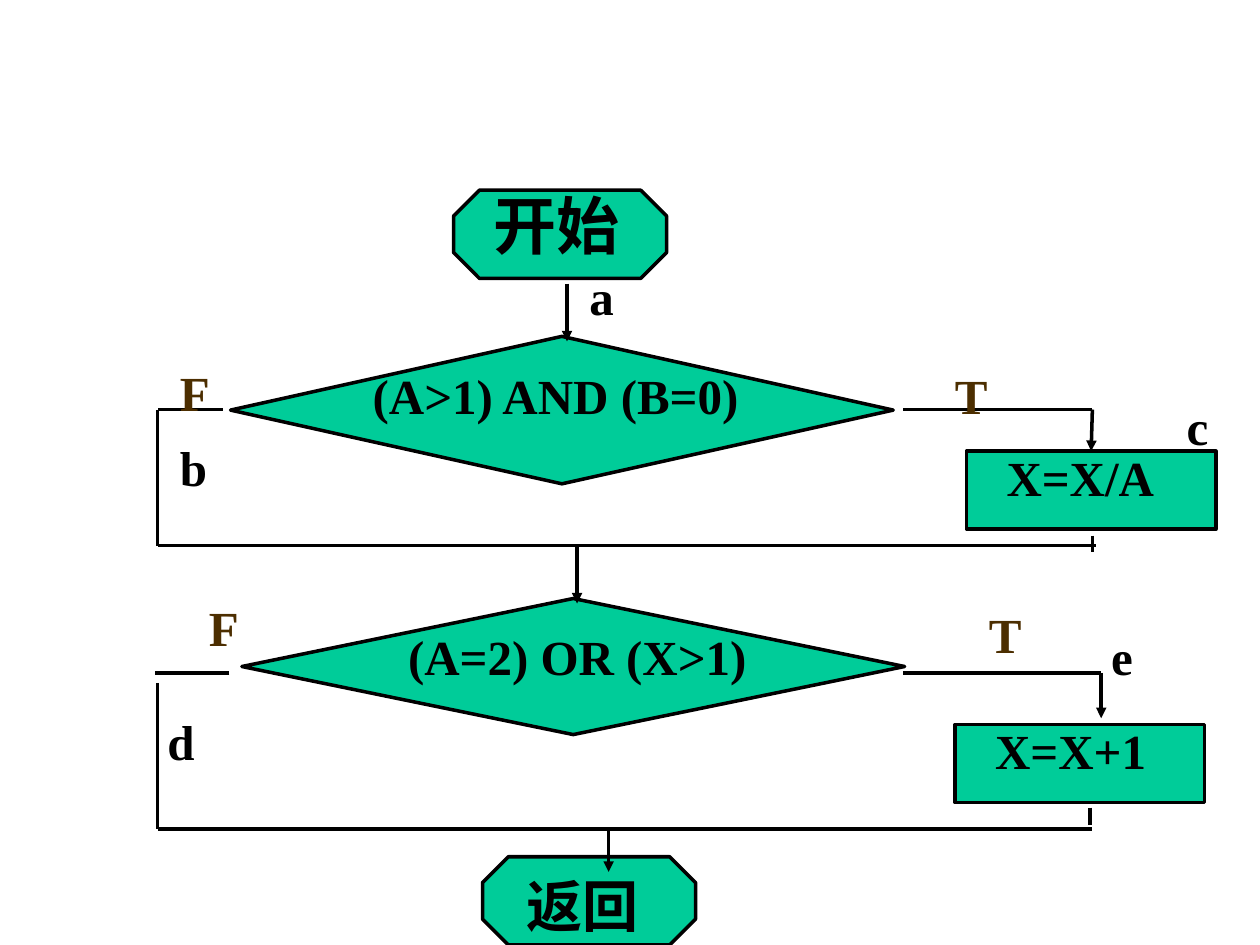
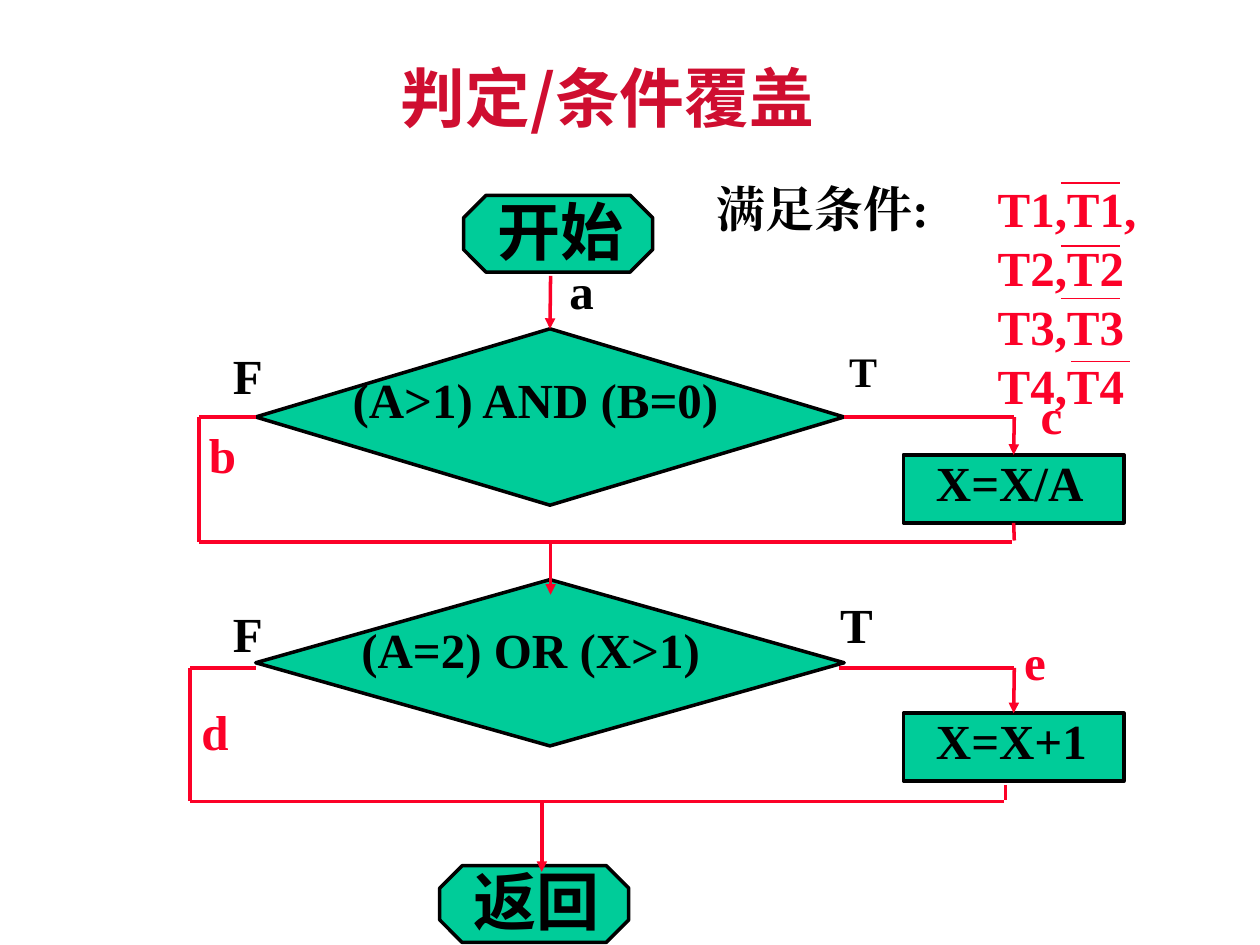
from dataclasses import dataclass
from math import hypot

from lxml import etree
from pptx import Presentation
from pptx.dml.color import RGBColor
from pptx.enum.shapes import MSO_CONNECTOR, MSO_SHAPE
from pptx.enum.text import MSO_ANCHOR, PP_ALIGN
from pptx.oxml.ns import qn
from pptx.util import Inches, Pt

STRAIGHT = MSO_CONNECTOR.STRAIGHT
OCTAGON, DIAMOND, RECTANGLE = MSO_SHAPE.OCTAGON, MSO_SHAPE.DIAMOND, MSO_SHAPE.RECTANGLE
TOP, LEFT = MSO_ANCHOR.TOP, PP_ALIGN.LEFT

# The slide is a grid of 100 columns by 75 rows of square cells
COLUMNS, ROWS = 100, 75
CELL = Inches(10) / COLUMNS
JOIN_REACH = 0.35  # a wire ending this near to a side's middle is joined to it

BLACK, GREEN, RED, CRIMSON, BROWN = "000000", "00CC99", "FC0128", "CF0E30", "4C2E00"
LATIN, HAN, HAN_TITLE = "Times New Roman", "Noto Sans CJK SC", "Noto Sans CJK JP"
LABEL_HEIGHT, TERMINAL_HEIGHT = 5.6, 7


@dataclass
class Style:
    wire: str          # colour of wires
    outcome: str       # colour of T and F
    route: str         # colour of b, c, d and e
    label_width: float
    step_size: tuple
    step_text: tuple   # left, top, width from the step's corner


@dataclass
class Stage:
    """One decision; every place is counted from the corner of its box."""
    box: tuple         # left, top, right wire, joining wire
    condition: str
    diamond: tuple
    condition_text: tuple
    step: str
    step_at: tuple
    false_end: float
    true_start: float
    tip: float         # end of the arrow into the step
    drop: tuple        # x, top, bottom of the wire out of the step
    join_end: float
    out: tuple         # x and end of the arrow to the next part
    labels: tuple      # (text, left, top, size) for F, T and the two routes
    false_start: float = 0
    side_start: float = 0


def rgb(value):
    return RGBColor.from_string(value)


def cells(*values):
    return [round(value * CELL) for value in values]


def set_font(font, name, size, color):
    font.name, font.size, font.bold = name, Pt(size), True
    font.color.rgb = rgb(color)
    etree.SubElement(font._element, qn("a:ea"), typeface=name)


def add_text(slide, text, left, top, width, height=LABEL_HEIGHT,
             size=28, color=BLACK, font=LATIN, wrap=True):
    frame = slide.shapes.add_textbox(*cells(left, top, width, height)).text_frame
    frame.word_wrap = wrap
    paragraph = frame.paragraphs[0]
    paragraph.text = text
    set_font(paragraph.font, font, size, color)
    return frame


def add_block(slide, kind, left, top, width, height):
    block = slide.shapes.add_shape(kind, *cells(left, top, width, height))
    block.shadow.inherit = False
    block.fill.solid()
    block.fill.fore_color.rgb = rgb(GREEN)
    block.line.color.rgb = rgb(BLACK)
    block.line.width = Pt(2)
    return block


def nearest_side(block, x, y):
    """Number of the side whose middle lies within reach, or None."""
    middle, centre = block.left + block.width / 2, block.top + block.height / 2
    sides = [(middle, block.top), (block.left, centre),
             (middle, block.top + block.height), (block.left + block.width, centre)]
    for number, (side_x, side_y) in enumerate(sides):
        if hypot(side_x - x * CELL, side_y - y * CELL) <= JOIN_REACH * CELL:
            return number
    return None


def add_wire(slide, start, end, color, arrow=False, width=2, blocks=()):
    wire = slide.shapes.add_connector(STRAIGHT, *cells(*start, *end))
    wire.line.color.rgb = rgb(color)
    wire.line.width = Pt(width)
    properties = wire._element.spPr
    etree.SubElement(properties, qn("a:effectLst"))
    if arrow:
        etree.SubElement(properties.find(qn("a:ln")), qn("a:tailEnd"), type="triangle")
    for block in blocks:
        for point, connect in ((start, wire.begin_connect), (end, wire.end_connect)):
            side = nearest_side(block, *point)
            if side is not None:
                connect(block, side)


def draw_terminal(slide, text, box, text_at, size=36):
    add_block(slide, OCTAGON, *box)
    left, top, width = text_at
    add_text(slide, text, left, top, width, TERMINAL_HEIGHT, size, font=HAN, wrap=False)


def draw_blocks(slide, stage, style):
    """Decision and step of a stage."""
    x, y = stage.box[:2]
    left, top, width, height = stage.diamond
    diamond = add_block(slide, DIAMOND, x + left, y + top, width, height)
    left, top, width = stage.condition_text
    add_text(slide, stage.condition, x + left, y + top, width)

    left, top = x + stage.step_at[0], y + stage.step_at[1]
    step = add_block(slide, RECTANGLE, left, top, *style.step_size)
    inset, rise, width = style.step_text
    add_text(slide, stage.step, left + inset, top + rise, width)
    return diamond, step


def draw_wires(slide, stage, style, blocks):
    """Branches of a stage, their joining wire and their labels."""
    x, y, right, bottom = stage.box
    drop_x, drop_top, drop_bottom = stage.drop
    out_x, out_end = stage.out
    routes = [
        ((stage.false_end, 0), (stage.false_start, 0), False),
        ((0, stage.side_start), (0, bottom), False),
        ((0, bottom), (stage.join_end, bottom), False),
        ((stage.true_start, 0), (right, 0), False),
        ((right, 0), (right, stage.tip), True),
        ((drop_x, drop_top), (drop_x, drop_bottom), False),
        ((out_x, bottom), (out_x, out_end), True),
    ]
    for start, end, arrow in routes:
        add_wire(slide, (x + start[0], y + start[1]), (x + end[0], y + end[1]),
                 style.wire, arrow, blocks=blocks)
    for text, left, top, size in stage.labels:
        color = style.outcome if text in "FT" else style.route
        add_text(slide, text, x + left, y + top, style.label_width, size=size, color=color)


def draw_flowchart(slide, style, terminals, entry, entry_label, stages):
    for terminal in terminals:
        draw_terminal(slide, *terminal)
    blocks = [draw_blocks(slide, stage, style) for stage in stages]
    x, top, end = entry
    add_wire(slide, (x, top), (x, end), style.wire, True, blocks=blocks[0][:1])
    add_text(slide, "a", *entry_label, style.label_width)
    for stage, pair in zip(stages, blocks):
        draw_wires(slide, stage, style, pair)


def draw_title(slide, text, box):
    title = slide.shapes.title
    title.left, title.top, title.width, title.height = cells(*box)
    frame = title.text_frame
    frame.vertical_anchor = TOP
    paragraph = frame.paragraphs[0]
    paragraph.text = text
    paragraph.alignment = LEFT
    paragraph.line_spacing = 0.7
    set_font(paragraph.font, HAN_TITLE, 37, CRIMSON)


def draw_conditions(slide, box):
    """Conditions met, with a bar over each negated one."""
    left, top, width, height = box
    frame = add_text(slide, "", left, top, width, height)
    for number, terms in enumerate(("T1,T1,", "T2,T2", "T3,T3", "T4,T4")):
        paragraph = frame.add_paragraph() if number else frame.paragraphs[0]
        tabs = etree.SubElement(paragraph._p.get_or_add_pPr(), qn("a:tabLst"))
        # a:tabLst stands before the paragraph's default font
        tabs.getparent().insert(0, tabs)
        etree.SubElement(tabs, qn("a:tab"), pos=str(cells(22.3)[0]), algn="l")
        runs = [("\t" + terms, RED)]
        if number == 0:
            runs.insert(0, ("满足条件:", BLACK))
        else:
            set_font(paragraph.font, LATIN, 28, RED)
        for text, color in runs:
            run = paragraph.add_run()
            run.text = text
            if number == 0:
                set_font(run.font, LATIN, 28, color)
    for bar_left, bar_top in ((28.3, 0.8), (28.3, 5.8), (28.3, 10), (29.1, 15)):
        x, y = left + bar_left, top + bar_top
        add_wire(slide, (x, y), (x + 4.7, y), RED, width=1)


def build_plain_slide(prs):
    slide = prs.slides.add_slide(prs.slide_layouts[6])
    style = Style(BLACK, BROWN, BLACK, 4.4, (19.8, 6.2), (2.2, -0.8, 18))
    stages = [
        Stage(box=(12.5, 32.5, 74.2, 10.8), condition="(A>1) AND (B=0)",
              diamond=(5.8, -5.8, 52.6, 11.7), condition_text=(16.1, -4, 42.3),
              step="X=X/A", step_at=(64.2, 3.3), false_end=5.2, true_start=59.2,
              tip=3, drop=(74.2, 10, 11.3), join_end=74.5, out=(33.3, 15.4),
              labels=(("F", 0.8, -4.2, 28), ("T", 62.3, -4, 28),
                      ("b", 0.8, 1.7, 28), ("c", 80.7, -1.5, 28))),
        Stage(box=(12.5, 53.4, 74.9, 12.4), condition="(A=2) OR (X>1)",
              diamond=(6.7, -5.9, 52.6, 10.8), condition_text=(18.9, -4.2, 43.6),
              step="X=X+1", step_at=(63.3, 4.1), false_end=5.7, true_start=59.2,
              tip=3.6, drop=(74, 10.7, 12.1), join_end=74.2, out=(35.8, 15.8),
              labels=(("F", 3.1, -6.5, 28), ("T", 65, -5.9, 28),
                      ("d", -0.2, 2.6, 28), ("e", 74.7, -4.2, 28)),
              false_start=-0.2, side_start=0.8),
    ]
    terminals = [("开始", (36, 15.1, 16.9, 7), (38.2, 14.3, 12)),
                 ("返回", (38.3, 68, 16.9, 7), (40.8, 68.7, 10.9), 32)]
    draw_flowchart(slide, style, terminals, (45, 22.5, 27.1), (45.8, 20.7), stages)


def build_coverage_slide(prs):
    slide = prs.slides.add_slide(prs.slide_layouts[5])
    draw_title(slide, "判定/条件覆盖", (30.8, 5.8, 40, 5.8))
    style = Style(RED, BLACK, RED, 3.9, (17.5, 5.4), (1.6, -0.7, 16))
    stages = [
        Stage(box=(15.8, 33.1, 64.7, 9.9), condition="(A>1) AND (B=0)",
              diamond=(4.5, -7, 46.7, 14), condition_text=(11.2, -4.3, 35),
              step="X=X/A", step_at=(55.9, 3), false_end=4.5, true_start=51.2,
              tip=2.7, drop=(64.7, 8.6, 9.8), join_end=64.5, out=(27.9, 14.1),
              labels=(("F", 1.7, -6.2, 28), ("T", 50.6, -6.2, 24),
                      ("b", -0.2, 0.1, 28), ("c", 65.8, -3, 28))),
        Stage(box=(15.1, 53, 65.4, 10.6), condition="(A=2) OR (X>1)",
              diamond=(5.2, -7, 46.7, 13.2), condition_text=(12.6, -4.3, 35),
              step="X=X+1", step_at=(56.6, 3.6), false_end=5.2, true_start=51.5,
              tip=3.4, drop=(64.7, 9.3, 10.5), join_end=64.6, out=(27.9, 16.2),
              labels=(("F", 2.4, -5.6, 28), ("T", 50.6, -6.3, 28),
                      ("d", -0.1, 2.2, 28), ("e", 65.2, -3.4, 28))),
    ]
    terminals = [("开始", (36.8, 15.5, 15, 6.1), (38.5, 14.8, 12)),
                 ("返回", (34.9, 68.7, 15, 6.1), (36.6, 68, 12))]
    draw_flowchart(slide, style, terminals, (43.7, 21.9, 25.9), (44.2, 20.2), stages)
    draw_conditions(slide, (55.9, 13.7, 45, 19.6))


def main():
    prs = Presentation()
    prs.slide_width, prs.slide_height = cells(COLUMNS, ROWS)
    build_plain_slide(prs)
    build_coverage_slide(prs)
    prs.save("out.pptx")


if __name__ == "__main__":
    main()
